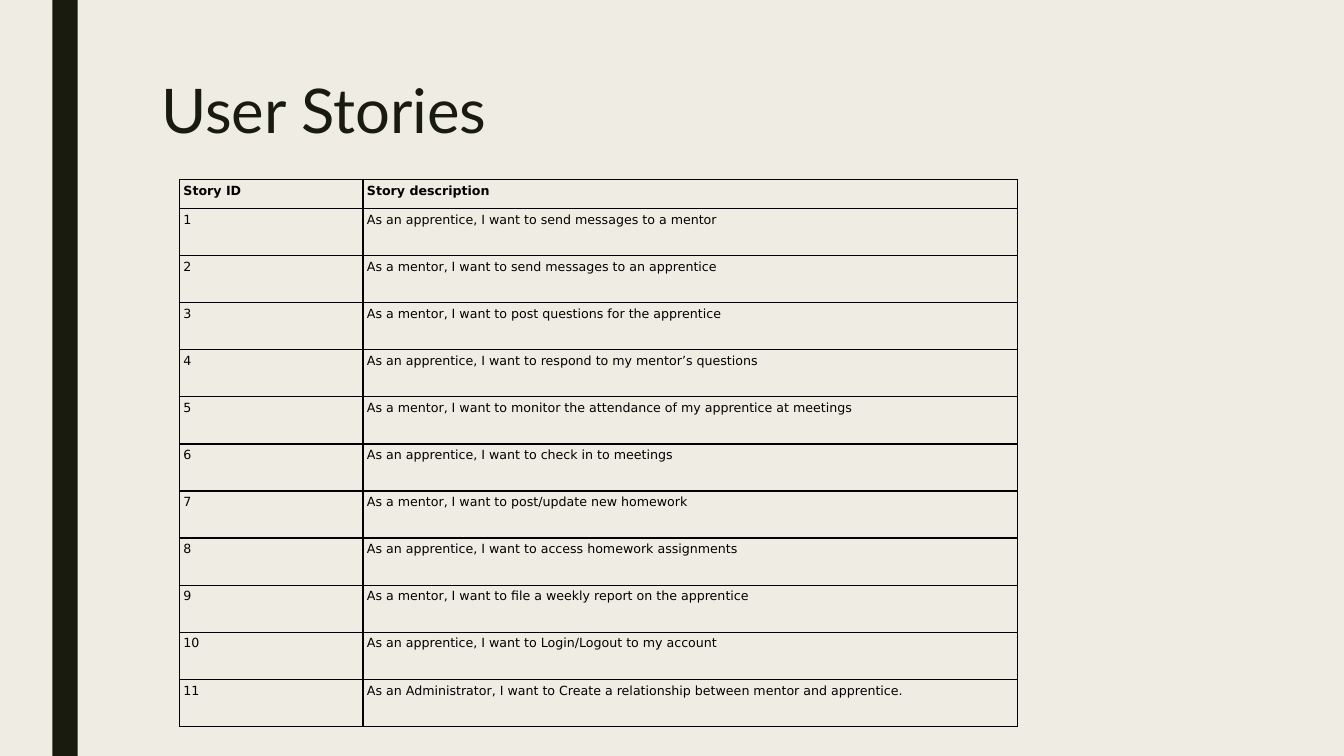
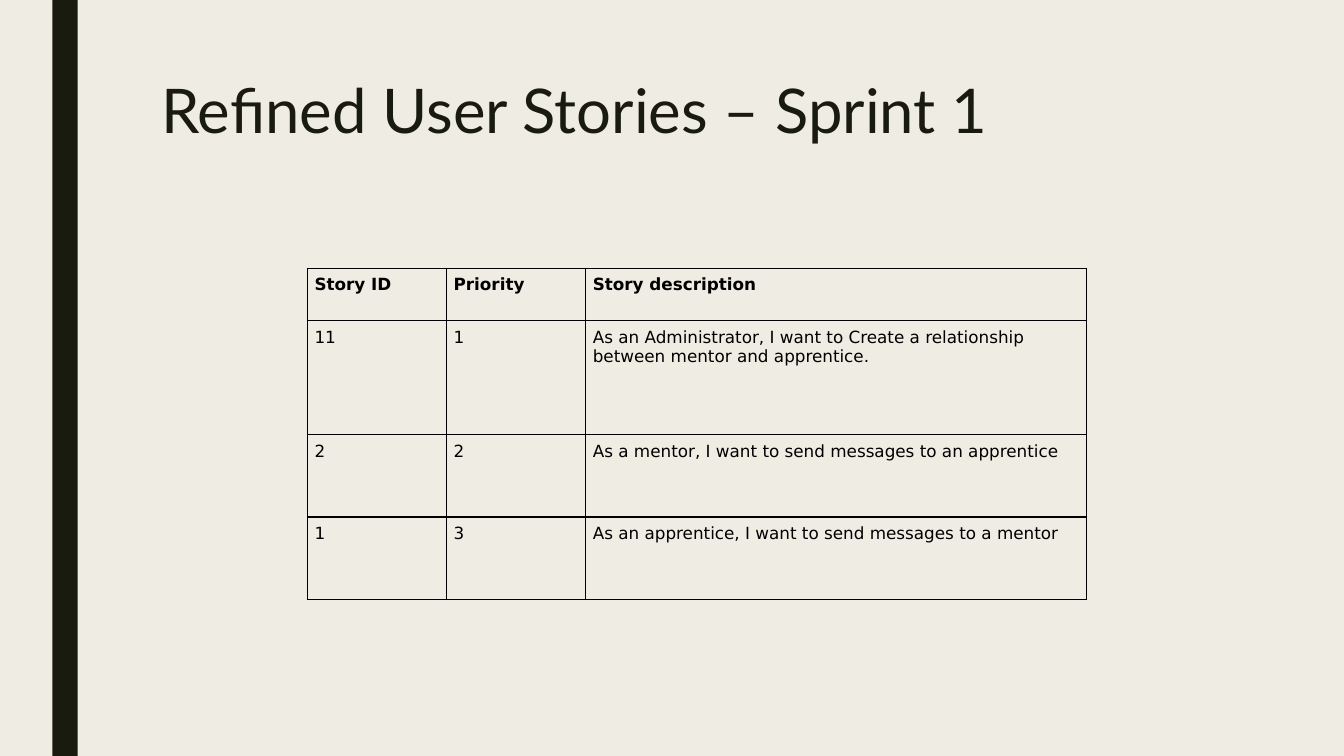
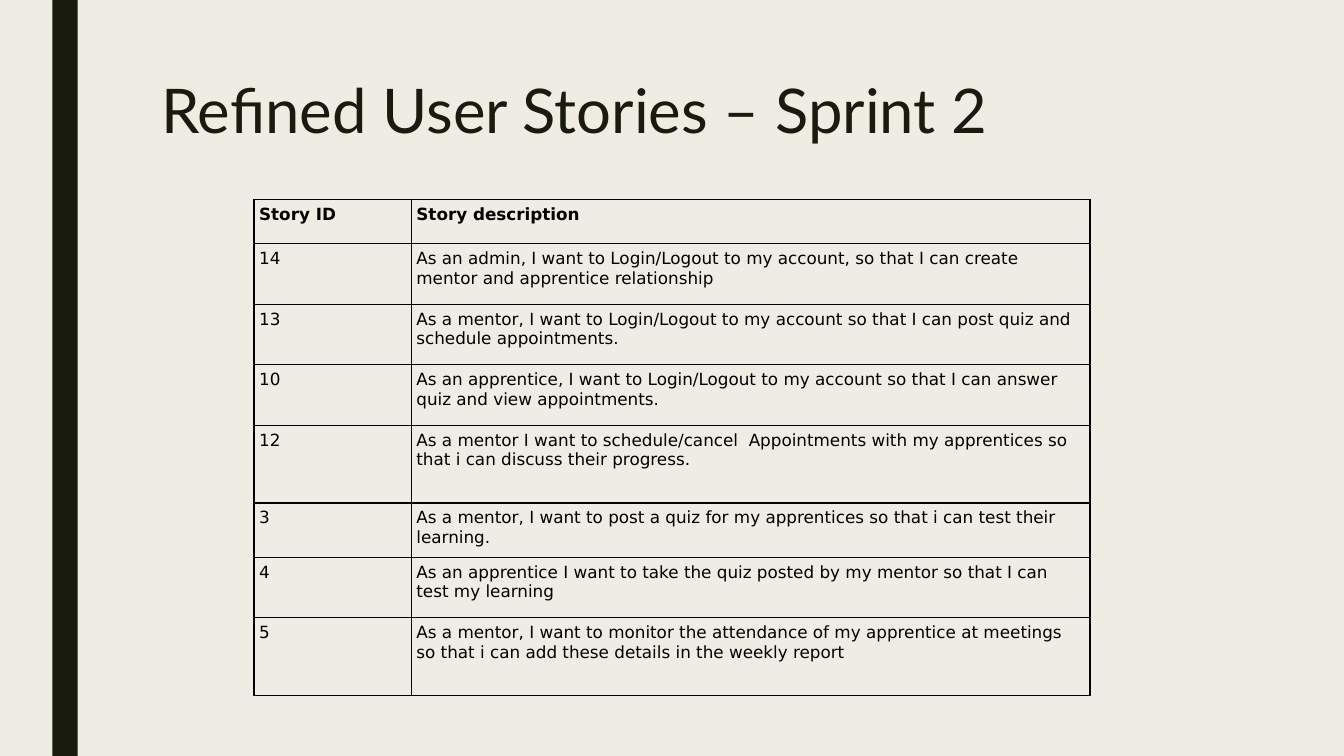
import pptx
import pptx.dml.color
import pptx.enum.shapes
import pptx.enum.text
import pptx.util
import lxml.etree
from pptx.util import Inches

PAPER = pptx.dml.color.RGBColor(0xEF, 0xED, 0xE3)
INK = pptx.dml.color.RGBColor(0x19, 0x1B, 0x0E)
BLACK = pptx.dml.color.RGBColor(0, 0, 0)

NS = "http://schemas.openxmlformats.org/drawingml/2006/main"

STORIES = [
    "As an apprentice, I want to send messages to a mentor",
    "As a mentor, I want to send messages to an apprentice",
    "As a mentor, I want to post questions for the apprentice",
    "As an apprentice, I want to respond to my mentor’s questions",
    "As a mentor, I want to monitor the attendance of my apprentice at meetings",
    "As an apprentice, I want to check in to meetings",
    "As a mentor, I want to post/update new homework",
    "As an apprentice, I want to access homework assignments",
    "As a mentor, I want to file a weekly report on the apprentice",
    "As an apprentice, I want to Login/Logout to my account",
    "As an Administrator, I want to Create a relationship between mentor and apprentice.",
]

SPRINT_1 = [11, 2, 1]

SPRINT_2 = [
    (14, "As an admin, I want to Login/Logout to my account, so that I can create mentor and apprentice relationship"),
    (13, "As a mentor, I want to Login/Logout to my account so that I can post quiz and schedule appointments."),
    (10, "As an apprentice, I want to Login/Logout to my account so that I can answer quiz and view appointments."),
    (12, "As a mentor I want to schedule/cancel  Appointments with my apprentices so that i can discuss their progress."),
    (3, "As a mentor, I want to post a quiz for my apprentices so that i can test their learning."),
    (4, "As an apprentice I want to take the quiz posted by my mentor so that I can test my learning"),
    (5, "As a mentor, I want to monitor the attendance of my apprentice at meetings so that i can add these details in the weekly report"),
]


def apply(obj, formats):
    for name, value in formats.items():
        setattr(obj, name, value)


class Deck:
    title_font = {"name": "Lato", "size": pptx.util.Pt(44), "bold": False}
    cell_font = {"name": "DejaVu Sans"}
    border = pptx.util.Pt(1)

    def __init__(self):
        self.prs = pptx.Presentation()
        apply(self.prs, {"slide_width": Inches(13.33), "slide_height": Inches(7.5)})
        fill = self.prs.slide_master.background.fill
        fill.solid()
        fill.fore_color.rgb = PAPER
        self.s = None

    def slide(self, title, title_height=1.15):
        self.s = self.prs.slides.add_slide(self.prs.slide_layouts[5])
        self.band()
        self.title(title, title_height)

    def band(self):
        sp = self.s.shapes.add_shape(
            pptx.enum.shapes.MSO_SHAPE.RECTANGLE,
            Inches(0.52), 0, Inches(0.25), self.prs.slide_height)
        sp.shadow.inherit = False
        sp.fill.solid()
        sp.fill.fore_color.rgb = INK
        sp.line.fill.background()

    def title(self, text, height):
        sp = self.s.shapes.title
        apply(sp, {"left": Inches(1.5), "top": Inches(0.75),
                   "width": Inches(10.5), "height": Inches(height)})
        tf = sp.text_frame
        apply(tf, {"word_wrap": True,
                   "auto_size": pptx.enum.text.MSO_AUTO_SIZE.NONE,
                   "vertical_anchor": pptx.enum.text.MSO_ANCHOR.TOP})
        p = tf.paragraphs[0]
        apply(p, {"alignment": pptx.enum.text.PP_ALIGN.LEFT, "line_spacing": 0.89})
        r = p.add_run()
        r.text = text
        apply(r.font, self.title_font)
        r.font.color.rgb = INK

    def table(self, left, top, widths, heights, rows, size, inset):
        tbl = self.s.shapes.add_table(
            len(rows), len(widths), Inches(left), Inches(top),
            Inches(sum(widths)), Inches(sum(heights))).table
        apply(tbl, {"first_row": False, "horz_banding": False})
        for col, width in zip(tbl.columns, widths):
            col.width = Inches(width)
        for row, height in zip(tbl.rows, heights):
            row.height = Inches(height)
        for i, row in enumerate(rows):
            for j, text in enumerate(row):
                self.cell(tbl.cell(i, j), str(text), size, inset, i == 0)

    def cell(self, cell, text, size, inset, bold):
        for side in ("left", "right", "top", "bottom"):
            setattr(cell, f"margin_{side}", Inches(inset))
        self.borders(cell)
        cell.fill.background()
        r = cell.text_frame.paragraphs[0].add_run()
        r.text = text
        apply(r.font, {**self.cell_font, "size": pptx.util.Pt(size), "bold": bold})
        r.font.color.rgb = BLACK

    def borders(self, cell):
        pr = cell._tc.get_or_add_tcPr()
        for tag in ("lnL", "lnR", "lnT", "lnB"):
            ln = lxml.etree.SubElement(pr, f"{{{NS}}}{tag}", w=str(self.border))
            fill = lxml.etree.SubElement(ln, f"{{{NS}}}solidFill")
            lxml.etree.SubElement(fill, f"{{{NS}}}srgbClr", val=str(BLACK))


def main():
    deck = Deck()

    deck.slide("User Stories", 1.62)
    rows = [("Story ID", "Story description"), *enumerate(STORIES, 1)]
    deck.table(1.78, 1.78, [1.82, 6.49], [0.29] + [0.467] * len(STORIES),
               rows, 9, 0.04)

    deck.slide("Refined User Stories – Sprint 1")
    rows = [("Story ID", "Priority", "Story description")]
    rows += [(n, rank, STORIES[n - 1]) for rank, n in enumerate(SPRINT_1, 1)]
    deck.table(3.05, 2.66, [1.38, 1.38, 4.97], [0.52, 1.13, 0.82, 0.82],
               rows, 12, 0.07)

    deck.slide("Refined User Stories – Sprint 2")
    rows = [("Story ID", "Story description"), *SPRINT_2]
    deck.table(2.52, 1.98, [1.56, 6.73],
               [0.44, 0.6, 0.6, 0.6, 0.77, 0.54, 0.6, 0.77], rows, 12, 0.05)

    deck.prs.save("out.pptx")


if __name__ == "__main__":
    main()
